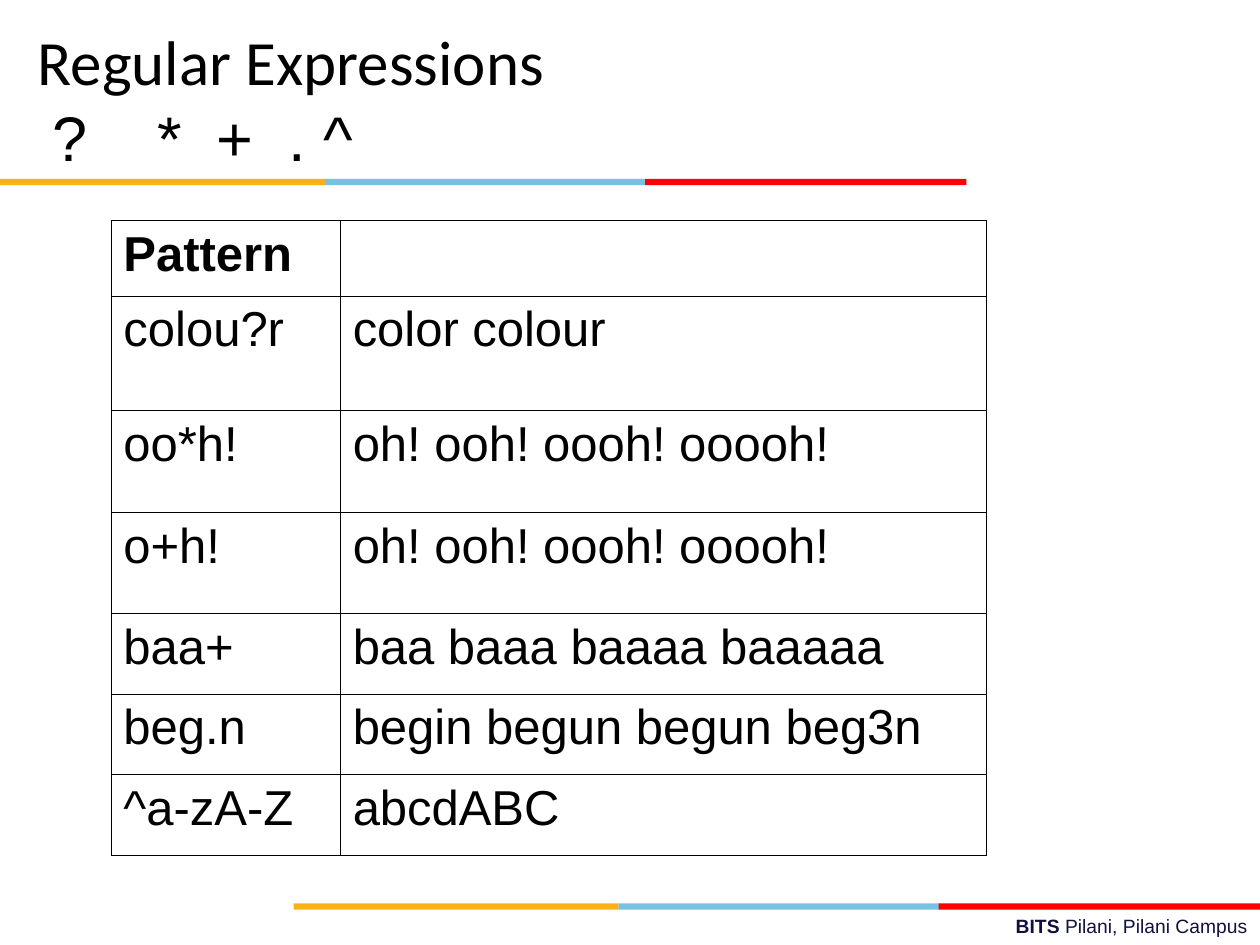
"""Build the regular expressions slide with its pattern table."""
from lxml import etree
from pptx import Presentation
from pptx.dml.color import RGBColor
from pptx.enum.shapes import MSO_SHAPE
from pptx.enum.text import MSO_ANCHOR, PP_ALIGN
from pptx.oxml.ns import qn
from pptx.util import Inches, Pt

RECTANGLE = MSO_SHAPE.RECTANGLE
TOP = MSO_ANCHOR.TOP
LEFT = PP_ALIGN.LEFT
RIGHT = PP_ALIGN.RIGHT

BLACK = RGBColor(0x00, 0x00, 0x00)
NAVY = RGBColor(0x10, 0x11, 0x41)
AMBER = RGBColor(0xFC, 0xB0, 0x17)
SKY = RGBColor(0x76, 0xC2, 0xE5)
RED = RGBColor(0xFF, 0x00, 0x00)

STRIPES = [(0, 2.58, AMBER), (2.58, 2.55, SKY), (5.12, 2.55, RED)]
TITLE_TABS = [0.95, 1.42, 1.99]
COLUMN_WIDTHS = [1.82, 5.13]
ROWS = [
    (0.6, "Pattern", ""),
    (0.91, "colou?r", "color colour"),
    (0.81, "oo*h!", "oh! ooh! oooh! ooooh!"),
    (0.8, "o+h!", "oh! ooh! oooh! ooooh!"),
    (0.64, "baa+", "baa baaa baaaa baaaaa"),
    (0.64, "beg.n", "begin begun begun beg3n"),
    (0.64, "^a-zA-Z", "abcdABC"),
]


def add_run(paragraph, text, size, color, font="Arial", bold=False):
    """Append one formatted run to a paragraph."""
    run = paragraph.add_run()
    run.text = text
    run.font.name = font
    run.font.size = Pt(size)
    run.font.bold = bold
    run.font.color.rgb = color


def add_tab_stops(paragraph, positions):
    """Give a paragraph left tab stops at positions in inches."""
    tab_list = etree.SubElement(paragraph._p.get_or_add_pPr(), qn("a:tabLst"))
    for position in positions:
        etree.SubElement(tab_list, qn("a:tab"), pos=str(Inches(position)), algn="l")


def add_title(slide):
    """Place the title and its line of operators."""
    title = slide.shapes.title
    title.left, title.top = Inches(0.2), Inches(0.13)
    title.width, title.height = Inches(9), Inches(1.25)
    title.text_frame.vertical_anchor = TOP
    paragraph = title.text_frame.paragraphs[0]
    paragraph.alignment = LEFT
    add_tab_stops(paragraph, TITLE_TABS)
    add_run(paragraph, "Regular Expressions", 36, BLACK, "Calibri")
    paragraph.add_line_break()
    add_run(paragraph, " ", 36, BLACK, "Calibri")
    add_run(paragraph, "?\t*\t+\t. ^", 36, BLACK)


def add_stripe_band(slide, left, top):
    """Draw a grouped band of three coloured stripes."""
    group = slide.shapes.add_group_shape()
    for offset, width, color in STRIPES:
        stripe = group.shapes.add_shape(
            RECTANGLE, Inches(left + offset), Inches(top), Inches(width), Inches(0.05)
        )
        stripe.shadow.inherit = False
        stripe.fill.solid()
        stripe.fill.fore_color.rgb = color
        stripe.line.fill.background()


def add_footer(slide):
    """Write the campus name at the lower right."""
    footer = slide.shapes.add_textbox(
        Inches(3.58), Inches(7.21), Inches(6.42), Inches(0.29)
    )
    footer.text_frame.word_wrap = True
    paragraph = footer.text_frame.paragraphs[0]
    paragraph.alignment = RIGHT
    add_run(paragraph, "BITS ", 11, NAVY, bold=True)
    add_run(paragraph, "Pilani, Pilani Campus", 11, NAVY)


def set_borders(cell):
    """Outline a cell with thin black lines."""
    properties = cell._tc.get_or_add_tcPr()
    for index, side in enumerate(("lnL", "lnR", "lnT", "lnB")):
        line = etree.Element(qn(f"a:{side}"), w=str(Pt(0.45)))
        fill = etree.SubElement(line, qn("a:solidFill"))
        etree.SubElement(fill, qn("a:srgbClr"), val=str(BLACK))
        properties.insert(index, line)


def add_pattern_table(slide):
    """Add the table of patterns and matching strings."""
    table = slide.shapes.add_table(
        len(ROWS), len(COLUMN_WIDTHS),
        Inches(0.88), Inches(1.75), Inches(6.95), Inches(5.04),
    ).table
    table.horz_banding = False
    for column, width in zip(table.columns, COLUMN_WIDTHS):
        column.width = Inches(width)
    for row_index, (height, *texts) in enumerate(ROWS):
        table.rows[row_index].height = Inches(height)
        for column_index, text in enumerate(texts):
            cell = table.cell(row_index, column_index)
            cell.fill.background()
            set_borders(cell)
            if text:
                paragraph = cell.text_frame.paragraphs[0]
                add_run(paragraph, text, 28, BLACK, bold=row_index == 0)


def main():
    """Build and save the presentation."""
    presentation = Presentation()
    presentation.slide_width = Inches(10)
    presentation.slide_height = Inches(7.5)
    slide = presentation.slides.add_slide(presentation.slide_layouts[5])
    add_footer(slide)
    add_stripe_band(slide, 2.33, 7.17)
    add_stripe_band(slide, 0, 1.42)
    add_title(slide)
    add_pattern_table(slide)
    presentation.save("out.pptx")


if __name__ == "__main__":
    main()
